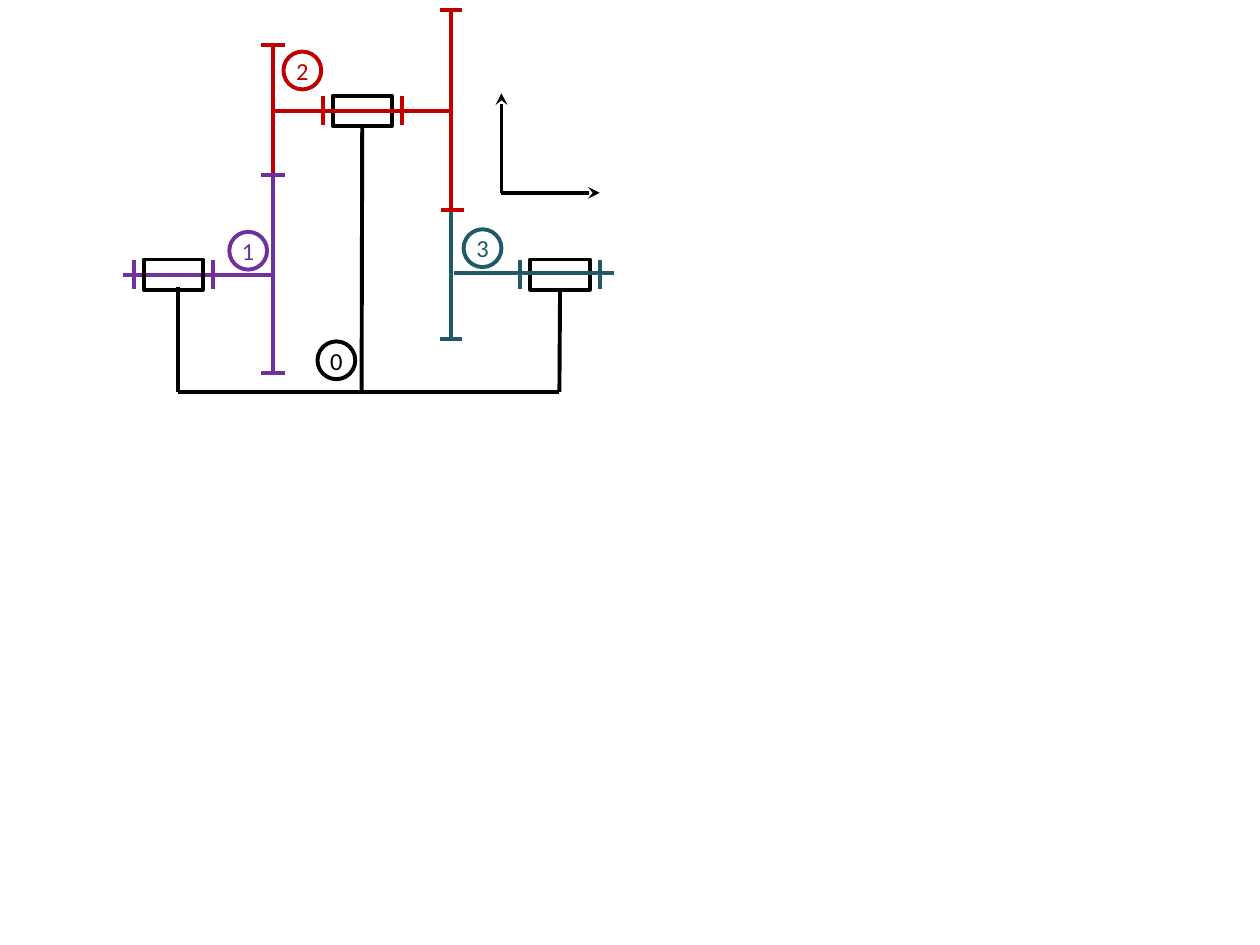
from pptx import Presentation
from pptx.util import Inches, Pt
from pptx.dml.color import RGBColor
from pptx.enum.shapes import MSO_CONNECTOR as CONN, MSO_SHAPE as SHAPE
from pptx.enum.text import MSO_ANCHOR, PP_ALIGN
from pptx.oxml import parse_xml
from pptx.oxml.ns import nsdecls, qn
from lxml import etree

COLORS = {"frame": "000000", "input": "7030A0", "middle": "C00000",
          "output": "215968", "ground": "D9D9D9"}
RGB = {name: RGBColor.from_string(value) for name, value in COLORS.items()}

prs = Presentation()
prs.slide_width, prs.slide_height = Inches(10), Inches(7.5)
s = prs.slides.add_slide(prs.slide_layouts[6])


def add_line(x1, y1, x2, y2, color, arrow=False):
    c = s.shapes.add_connector(CONN.STRAIGHT, Inches(x1), Inches(y1),
                               Inches(x2), Inches(y2))
    c.line.color.rgb = RGB[color]
    c.line.width = Pt(2.25)
    if arrow:
        etree.SubElement(c.line._get_or_add_ln(), qn("a:tailEnd"), type="stealth")
    etree.SubElement(c._element.spPr, qn("a:effectLst"))
    return c


def add_outline(kind, x, y, w, h, color):
    sp = s.shapes.add_shape(kind, Inches(x), Inches(y), Inches(w), Inches(h))
    sp.shadow.inherit = False
    sp.fill.background()
    sp.line.color.rgb = RGB[color]
    sp.line.width = Pt(2.25)
    return sp


# Ground patch: cubic curves sampled as short segments
start = (2.56, 3.11)
curves = [((2.6, 3.18), (2.65, 3.24), (2.7, 3.26)),
          ((2.76, 3.27), (2.83, 3.2), (2.89, 3.2)),
          ((2.95, 3.2), (3.01, 3.27), (3.06, 3.26)),
          ((3.1, 3.26), (3.14, 3.2), (3.19, 3.12))]
points, p0 = [], start
for p1, p2, p3 in curves:
    for t in [i / 10 for i in range(1, 11)]:
        u = 1 - t
        points.append(tuple(u**3 * a + 3 * u * u * t * b + 3 * u * t * t * c + t**3 * d
                            for a, b, c, d in zip(p0, p1, p2, p3)))
    p0 = p3
ground = s.shapes.build_freeform(*start, scale=Inches(1))
ground.add_line_segments(points, close=False)
sp = ground.convert_to_shape()
sp.shadow.inherit = False
sp.fill.solid()
sp.fill.fore_color.rgb = RGB["ground"]
sp.line.color.rgb = RGB["frame"]
sp.line.width = Pt(1)

# Shaft 1 runs below its bearing
add_line(0.98, 2.18, 2.17, 2.18, "input")

# Bearings, each between two collars
bearings = []
for x, y, color in [(1.14, 2.06, "input"), (2.64, 0.76, "middle"), (4.21, 2.06, "output")]:
    bearings.append(add_outline(SHAPE.RECTANGLE, x, y, 0.47, 0.24, "frame"))
    for collar_x in (x - 0.08, x + 0.55):
        add_line(collar_x, y, collar_x, y + 0.23, color)

# Fixed frame: base and three posts
add_line(4.44, 3.11, 1.41, 3.11, "frame")
add_line(1.41, 2.28, 1.41, 3.11, "frame")
for x, y, bearing in [(2.87, 1, bearings[1]), (4.44, 2.3, bearings[2])]:
    add_line(x, y, x, 3.11, "frame").begin_connect(bearing, 2)

# Shafts 2 and 3
add_line(2.17, 0.88, 3.58, 0.88, "middle")
add_line(3.6, 2.17, 4.87, 2.17, "output")

# Gear wheels
for x, top, bottom, color in [(2.17, 1.39, 2.96, "input"), (2.17, 0.36, 1.39, "middle"),
                              (3.58, 0.09, 1.67, "middle"), (3.58, 1.67, 2.69, "output")]:
    add_line(x, top, x, bottom, color)

# Teeth at the wheel rims
for x, y, color in [(2.07, 0.36, "middle"), (2.07, 1.39, "input"), (2.07, 2.96, "input"),
                    (3.49, 0.08, "middle"), (3.5, 1.67, "middle"), (3.49, 2.69, "output")]:
    add_line(x, y, x + (0.19 if x < 3 else 0.18), y, color)

# Axes
for x, y in [(4.76, 1.53), (3.98, 0.74)]:
    add_line(3.98, 1.53, x, y, "frame", arrow=True)

# Numbered part labels
frame_format = {"margin_left": 0, "margin_top": 0, "margin_right": 0, "margin_bottom": 0,
                "vertical_anchor": MSO_ANCHOR.MIDDLE}
font_format = {"name": "Calibri", "size": Pt(14)}
for label, x, y, color in [("1", 1.82, 1.84, "input"), ("2", 2.25, 0.41, "middle"),
                           ("3", 3.68, 1.82, "output"), ("0", 2.52, 2.71, "frame")]:
    tf = add_outline(SHAPE.OVAL, x, y, 0.3, 0.3, color).text_frame
    for key, value in frame_format.items():
        setattr(tf, key, value)
    p = tf.paragraphs[0]
    p.alignment = PP_ALIGN.CENTER
    r = p.add_run()
    r.text = label
    for key, value in font_format.items():
        setattr(r.font, key, value)
    r.font.color.rgb = RGB[color]
    # Thin outline around the digit
    r._r.get_or_add_rPr().insert(0, parse_xml(
        f'<a:ln {nsdecls("a")} w="{Pt(0.75)}"><a:solidFill>'
        f'<a:srgbClr val="{COLORS[color]}"/></a:solidFill></a:ln>'))

prs.save("out.pptx")
